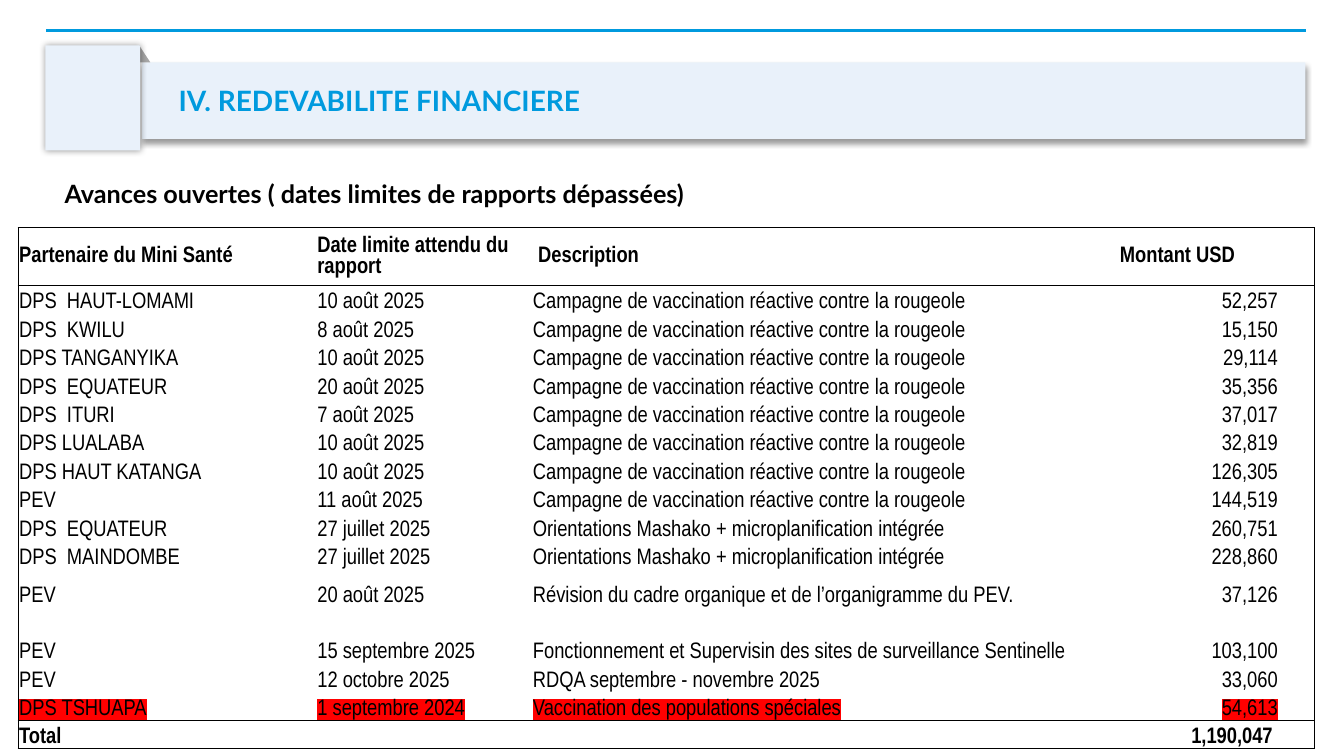
from lxml.etree import SubElement
from pptx import Presentation
from pptx.dml.color import RGBColor
from pptx.enum.shapes import MSO_CONNECTOR, MSO_SHAPE
from pptx.enum.text import MSO_ANCHOR, MSO_AUTO_SIZE, PP_ALIGN
from pptx.oxml.ns import qn
from pptx.util import Pt

# Content
TITLE = "IV. REDEVABILITE FINANCIERE"
SUBTITLE = "Avances ouvertes ( dates limites de rapports dépassées)"
MEASLES = "Campagne de vaccination réactive contre la rougeole"
MASHAKO = "Orientations Mashako + microplanification intégrée"
ROWS = [
    ("Partenaire du Mini Santé", "Date limite attendu du rapport", "Description", "Montant USD"),
    ("DPS  HAUT-LOMAMI", "10 août 2025", MEASLES, "52,257"),
    ("DPS  KWILU", "8 août 2025", MEASLES, "15,150"),
    ("DPS TANGANYIKA", "10 août 2025", MEASLES, "29,114"),
    ("DPS  EQUATEUR", "20 août 2025", MEASLES, "35,356"),
    ("DPS  ITURI", "7 août 2025", MEASLES, "37,017"),
    ("DPS LUALABA", "10 août 2025", MEASLES, "32,819"),
    ("DPS HAUT KATANGA", "10 août 2025", MEASLES, "126,305"),
    ("PEV", "11 août 2025", MEASLES, "144,519"),
    ("DPS  EQUATEUR", "27 juillet 2025", MASHAKO, "260,751"),
    ("DPS  MAINDOMBE", "27 juillet 2025", MASHAKO, "228,860"),
    ("PEV", "20 août 2025", "Révision du cadre organique et de l’organigramme du PEV.", "37,126"),
    ("PEV", "15 septembre 2025",
     "Fonctionnement et Supervisin des sites de surveillance Sentinelle", "103,100"),
    ("PEV", "12 octobre 2025", "RDQA septembre - novembre 2025", "33,060"),
    ("DPS TSHUAPA", "1 septembre 2024", "Vaccination des populations spéciales", "54,613"),
    ("Total", "", "", "1,190,047"),
]
TOTAL = len(ROWS) - 1
OVERDUE = TOTAL - 1
AMOUNT = 3

# Layout in points
COLUMN_WIDTHS = (213, 154, 415.5, 143.3)
ROW_HEIGHT = 20.3
SPECIAL_HEIGHTS = {0: 41, 11: 26.9, 12: 40.3}
BLUE, PALE, GRAY, BLACK, RED = "009ADE", "E9F1FA", "A6A6A6", "000000", "FF0000"


def color(value):
    return RGBColor.from_string(value)


def set_font(paragraph, name, size, value, bold):
    font = paragraph.font
    font.name, font.size, font.bold = name, Pt(size), bold
    font.color.rgb = color(value)


def style_shape(shape, fill, blur=0, distance=0):
    shape.fill.solid()
    shape.fill.fore_color.rgb = color(fill)
    shape.line.fill.background()
    shape.shadow.inherit = False
    if blur:
        effects = shape._element.spPr.find(qn("a:effectLst"))
        shadow = SubElement(effects, qn("a:outerShdw"), blurRad=str(Pt(blur)),
                            dist=str(Pt(distance)), dir="5400000", rotWithShape="0")
        tint = SubElement(shadow, qn("a:srgbClr"), val=BLACK)
        SubElement(tint, qn("a:alpha"), val="40000")


def set_borders(cell, sides):
    properties = cell._tc.get_or_add_tcPr()
    for side in "LRTB":
        line = SubElement(properties, qn("a:ln" + side), w=str(Pt(1)))
        if side in sides:
            fill = SubElement(line, qn("a:solidFill"))
            SubElement(fill, qn("a:srgbClr"), val=BLACK)
        else:
            SubElement(line, qn("a:noFill"))


def fill_cell(cell, row, column, text):
    header = row == 0
    sides = [side for side, drawn in (
        ("L", column == 0), ("R", column == AMOUNT),
        ("T", row in (0, 1, TOTAL)), ("B", row in (0, OVERDUE, TOTAL))) if drawn]
    set_borders(cell, sides)
    cell.fill.background()
    cell.margin_left = Pt(4.5 if header and column >= 2 else 0.7)
    cell.margin_right = cell.margin_top = Pt(0.7)
    cell.margin_bottom = 0
    cell.vertical_anchor = MSO_ANCHOR.MIDDLE if header else MSO_ANCHOR.BOTTOM

    paragraph = cell.text_frame.paragraphs[0]
    if column == AMOUNT and not header:
        text = "\t" + text
        tabs = SubElement(paragraph._p.get_or_add_pPr(), qn("a:tabLst"))
        position = 113 if row == TOTAL else 116.6
        SubElement(tabs, qn("a:tab"), pos=str(Pt(position)), algn="r")
    set_font(paragraph, "Arial Narrow", 16, BLACK, row in (0, TOTAL))
    if not text:
        SubElement(paragraph._p, qn("a:endParaRPr"), sz="1600")
        return
    run = paragraph.add_run()
    run.text = text
    if row == OVERDUE:
        highlight = SubElement(run._r.get_or_add_rPr(), qn("a:highlight"))
        SubElement(highlight, qn("a:srgbClr"), val=RED)


presentation = Presentation()
presentation.slide_width, presentation.slide_height = Pt(960), Pt(540)
slide = presentation.slides.add_slide(presentation.slide_layouts[5])
shapes = slide.shapes

# Title banner
title = shapes.title
title.left, title.top, title.width, title.height = Pt(101.5), Pt(44.6), Pt(831), Pt(54.7)
style_shape(title, PALE, 4, 3)
frame = title.text_frame
frame.text = TITLE
frame.auto_size = MSO_AUTO_SIZE.NONE
frame.vertical_anchor = MSO_ANCHOR.MIDDLE
frame.margin_left = Pt(26)
frame.margin_right = frame.margin_top = frame.margin_bottom = 0
frame.paragraphs[0].alignment = PP_ALIGN.LEFT
set_font(frame.paragraphs[0], "Lato", 20, BLUE, True)

# Top rule
rule = shapes.add_connector(MSO_CONNECTOR.STRAIGHT, Pt(33), Pt(21.6), Pt(933), Pt(21.6))
rule.line.color.rgb = color(BLUE)
rule.line.width = Pt(2.25)
SubElement(rule._element.spPr, qn("a:effectLst"))

# Folded corner and square tab
fold = shapes.add_shape(MSO_SHAPE.RIGHT_TRIANGLE, Pt(99.4), Pt(32.4), Pt(8), Pt(12.2))
style_shape(fold, GRAY)
square = shapes.add_shape(MSO_SHAPE.RECTANGLE, Pt(32.4), Pt(32.4), Pt(67.7), Pt(75))
style_shape(square, PALE, 5)

# Subtitle
subtitle = shapes.add_textbox(Pt(39), Pt(123.8), Pt(893.5), Pt(29))
subtitle.text_frame.word_wrap = True
subtitle.text_frame.text = SUBTITLE
set_font(subtitle.text_frame.paragraphs[0], "Lato", 18, BLACK, True)

# Table of open advances
heights = [SPECIAL_HEIGHTS.get(row, ROW_HEIGHT) for row in range(len(ROWS))]
table = shapes.add_table(len(ROWS), len(COLUMN_WIDTHS), Pt(13), Pt(162.7),
                         Pt(sum(COLUMN_WIDTHS)), Pt(sum(heights))).table
table.first_row = table.horz_banding = False
for column, width in zip(table.columns, COLUMN_WIDTHS):
    column.width = Pt(width)
for row, (texts, height) in enumerate(zip(ROWS, heights)):
    table.rows[row].height = Pt(height)
    for column, text in enumerate(texts):
        fill_cell(table.cell(row, column), row, column, text)

presentation.save("out.pptx")
